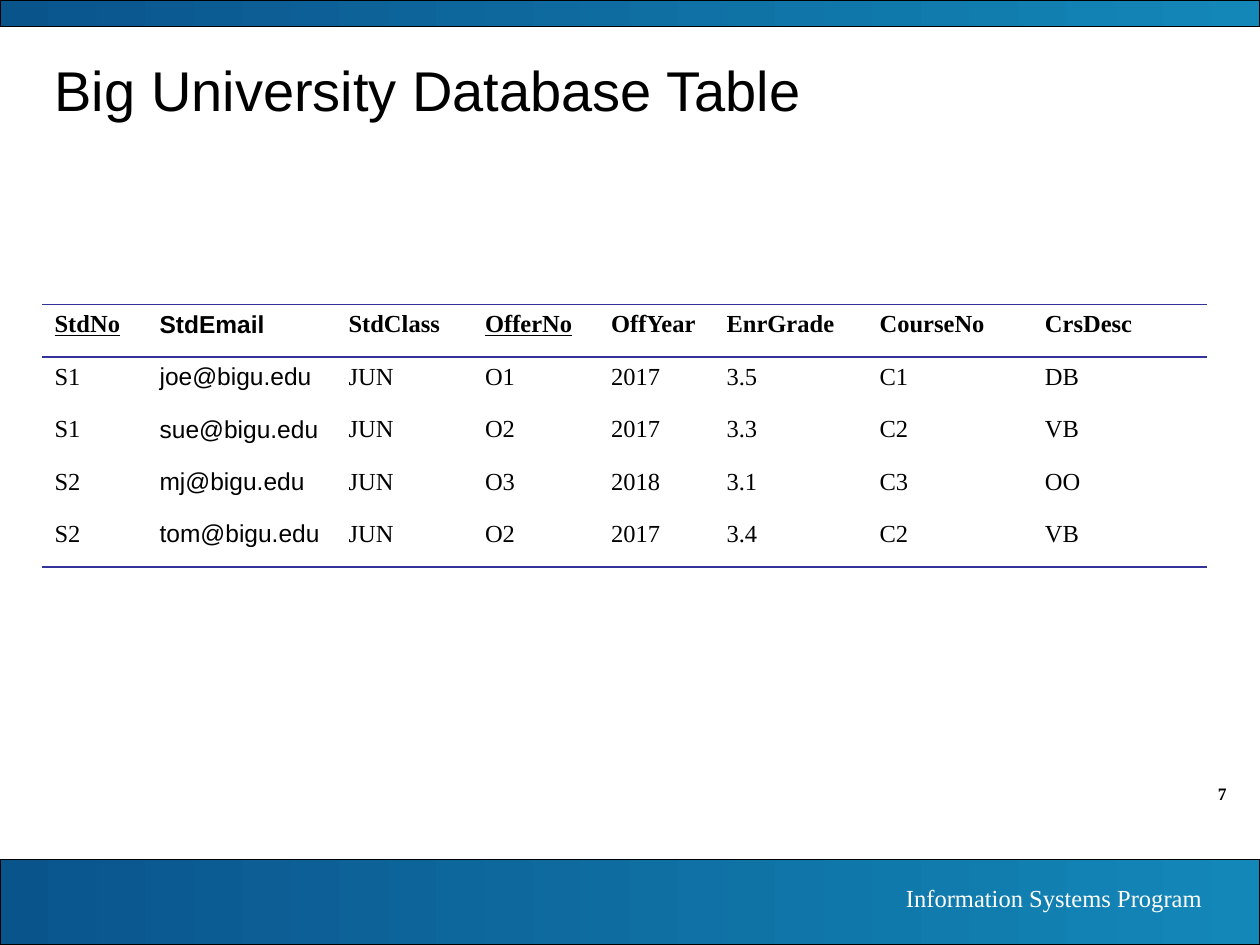
from lxml.etree import SubElement
from pptx import Presentation
from pptx.dml.color import RGBColor
from pptx.enum.shapes import MSO_SHAPE as SHAPE
from pptx.enum.text import MSO_ANCHOR as ANCHOR, PP_ALIGN as ALIGN
from pptx.oxml.ns import qn
from pptx.util import Pt

SANS, SERIF = "Arial", "Times New Roman"
BLACK, WHITE, RULE = "000000", "FFFFFF", "333399"
BAND_COLORS = ("0A548C", "1387B8")

COL_WIDTHS = (60, 108, 78, 72, 66, 87.5, 94.5, 100)
ROW_HEIGHT = 30
EMAIL_COL = 1
KEYS = ("StdNo", "OfferNo")
ROWS = (
    ("StdNo", "StdEmail", "StdClass", "OfferNo", "OffYear", "EnrGrade", "CourseNo", "CrsDesc"),
    ("S1", "joe@bigu.edu", "JUN", "O1", "2017", "3.5", "C1", "DB"),
    ("S1", "sue@bigu.edu", "JUN", "O2", "2017", "3.3", "C2", "VB"),
    ("S2", "mj@bigu.edu", "JUN", "O3", "2018", "3.1", "C3", "OO"),
    ("S2", "tom@bigu.edu", "JUN", "O2", "2017", "3.4", "C2", "VB"),
)


def rgb(color):
    return RGBColor.from_string(color)


def write(tf, text, size, font, color=BLACK, bold=False, underline=False, align=ALIGN.LEFT):
    tf.text = text
    p = tf.paragraphs[0]
    p.alignment = align
    f = p.runs[0].font
    f.size, f.name, f.bold, f.underline = Pt(size), font, bold, underline
    f.color.rgb = rgb(color)


def add_title(slide, text):
    sp = slide.shapes.title
    sp.left, sp.top, sp.width, sp.height = Pt(24), Pt(24), Pt(660), Pt(54)
    sp.text_frame.vertical_anchor = ANCHOR.MIDDLE
    write(sp.text_frame, text, 32, SANS)


def add_band(slide, top, height):
    sp = slide.shapes.add_shape(SHAPE.RECTANGLE, 0, Pt(top), Pt(720), Pt(height))
    sp.shadow.inherit = False
    sp.fill.gradient()
    sp.fill.gradient_angle = 0
    for stop, position, color in zip(sp.fill.gradient_stops, (0, 1), BAND_COLORS):
        stop.position = position
        stop.color.rgb = rgb(color)
    sp.line.color.rgb = rgb(BLACK)
    sp.line.width = Pt(0.75)


def add_label(slide, box, text, size, **style):
    sp = slide.shapes.add_textbox(*(Pt(v) for v in box))
    sp.text_frame.word_wrap = True
    write(sp.text_frame, text, size, SERIF, align=ALIGN.RIGHT, **style)


def set_borders(cell, ruled):
    """Draw a rule on the sides named in ruled and clear the others."""
    tc_pr = cell._tc.get_or_add_tcPr()
    for side in "LRTB":
        ln = SubElement(tc_pr, qn(f"a:ln{side}"), w=str(Pt(1)))
        if side in ruled:
            fill = SubElement(ln, qn("a:solidFill"))
            SubElement(fill, qn("a:srgbClr"), val=RULE)
        else:
            SubElement(ln, qn("a:noFill"))


def add_data_table(slide, left, top):
    n_rows, n_cols = len(ROWS), len(COL_WIDTHS)
    table = slide.shapes.add_table(n_rows, n_cols, Pt(left), Pt(top),
                                   Pt(sum(COL_WIDTHS)), Pt(ROW_HEIGHT * n_rows)).table
    table.first_row = table.horz_banding = False
    for col, width in zip(table.columns, COL_WIDTHS):
        col.width = Pt(width)
    # Rules above and below the header, and below the last row
    ruled = {0: "TB", 1: "T", n_rows - 1: "B"}
    for i, values in enumerate(ROWS):
        table.rows[i].height = Pt(ROW_HEIGHT)
        for j, value in enumerate(values):
            cell = table.cell(i, j)
            set_borders(cell, ruled.get(i, ""))
            cell.fill.background()
            write(cell.text_frame, value, 14, SANS if j == EMAIL_COL else SERIF,
                  bold=i == 0, underline=value in KEYS)


def main():
    prs = Presentation()
    prs.slide_width, prs.slide_height = Pt(720), Pt(540)
    slide = prs.slides.add_slide(prs.slide_layouts[5])

    # Frame: page number, bands and footer
    add_label(slide, (648, 444, 60, 19.5), "7", 10, bold=True)
    add_band(slide, 491, 49)
    add_band(slide, 0, 15)
    add_label(slide, (399.5, 501, 294.5, 24.5), "Information Systems Program", 14, color=WHITE)

    # Content
    add_title(slide, "Big University Database Table")
    add_data_table(slide, 24, 174)

    prs.save("out.pptx")


if __name__ == "__main__":
    main()
